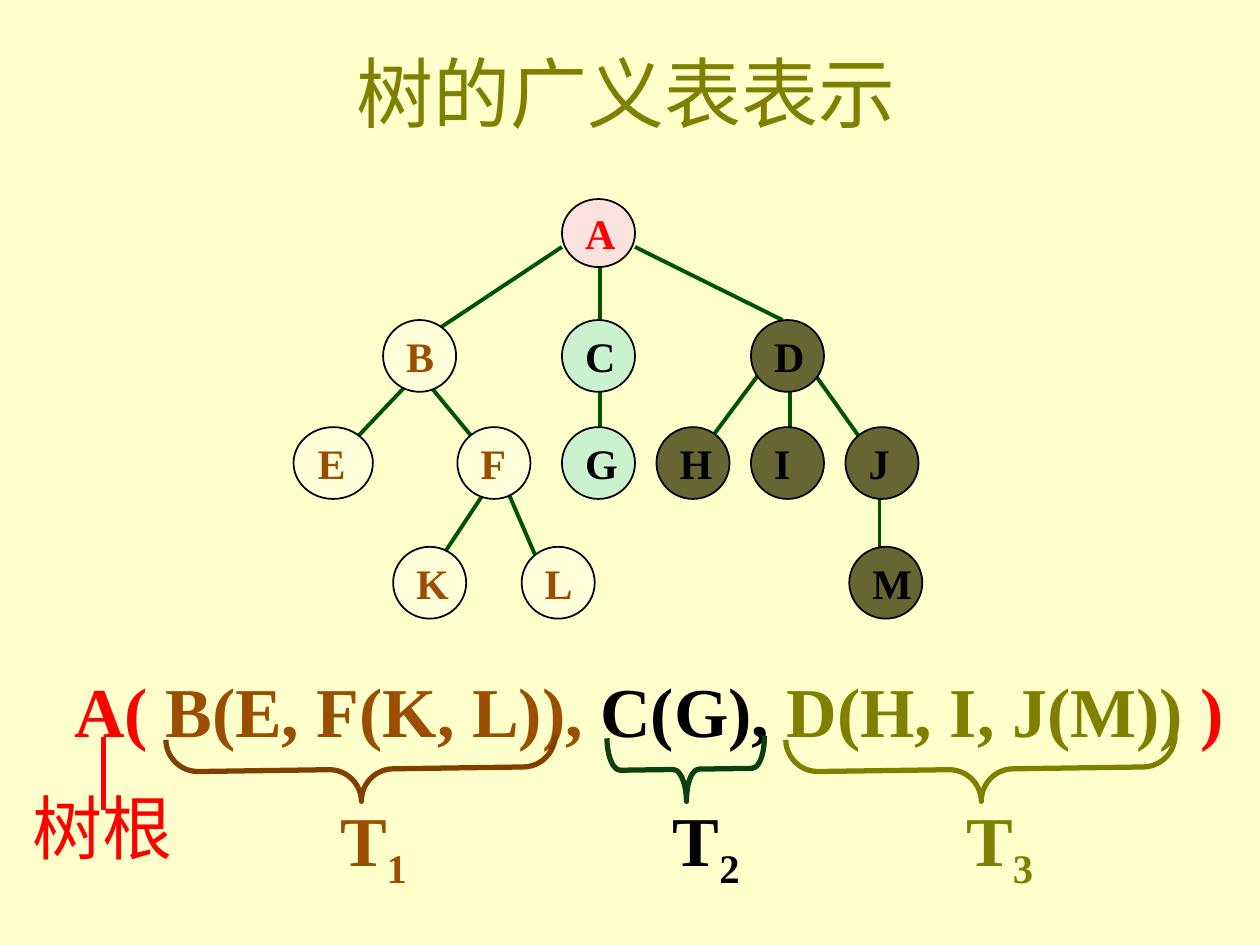
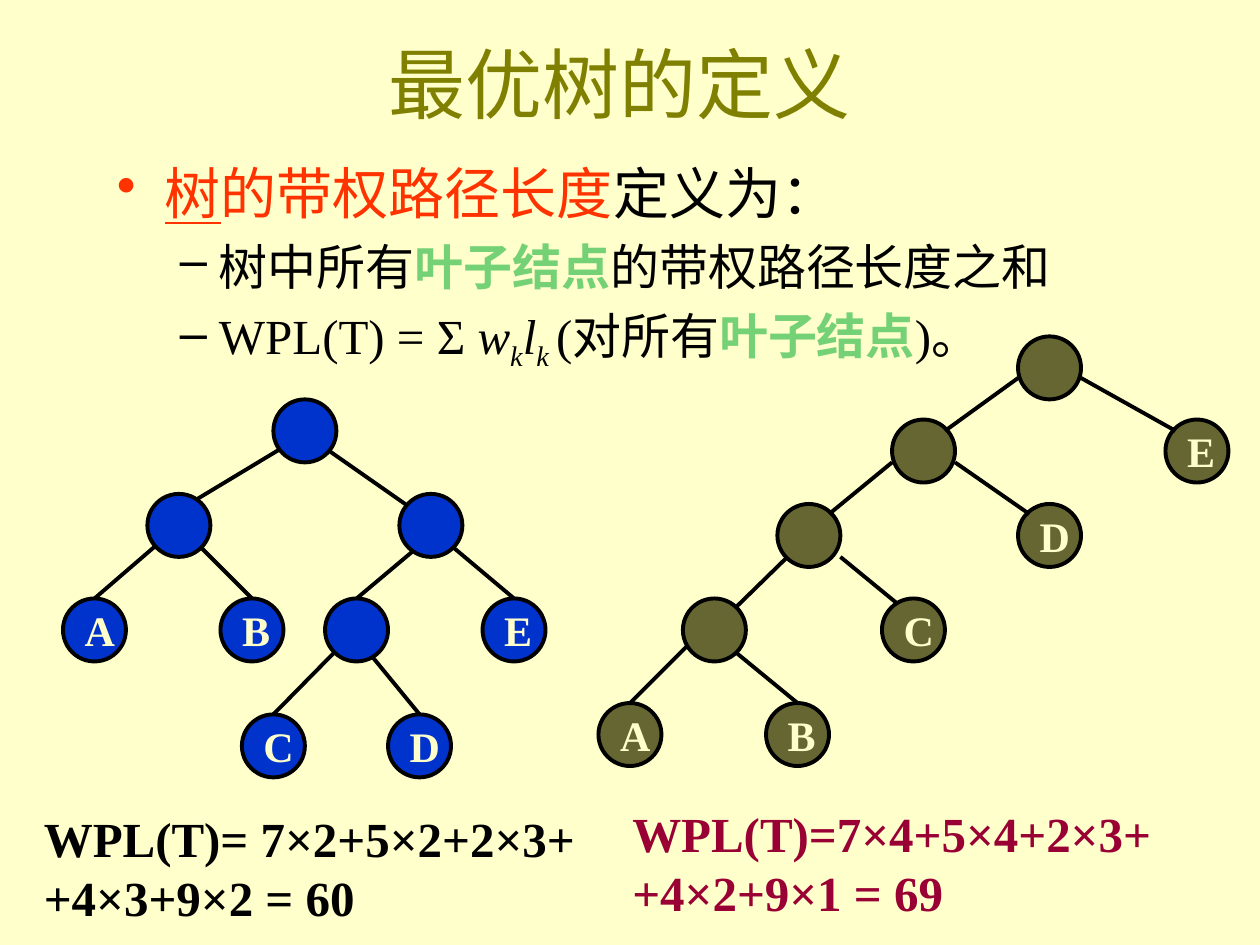
from dataclasses import dataclass
from typing import NamedTuple

import lxml.etree
import pptx
import pptx.dml.color
import pptx.enum.shapes
import pptx.enum.text
import pptx.oxml.ns
import pptx.util

SCALE = 9144  # EMU in one px, 100 px to the inch
FONT = "Times New Roman"
HUES = {
    "page": "FFFFCC", "ink": "000000", "olive": "808000", "red": "FF0000",
    "brown": "9C4E00", "rust": "804000", "pine": "0B4110", "branch": "005400",
    "pink": "FBE2DF", "cream": "FFFFD9", "mint": "CAF2CE", "moss": "666633",
    "blue": "0033CC", "orange": "FF3300", "leaf": "75D175", "wine": "990033",
}
SHAPES = pptx.enum.shapes.MSO_SHAPE
ANCHORS = pptx.enum.text.MSO_ANCHOR
ALIGN = pptx.enum.text.PP_ALIGN


class Box(NamedTuple):
    x: int
    y: int
    w: int
    h: int


class Bit(NamedTuple):
    """A run of text; sub lowers it to an index."""
    text: str
    hue: str = "ink"
    bold: bool = False
    slant: bool = False
    under: bool = False
    sub: bool = False


@dataclass
class Line:
    """A paragraph; left and hang are its indent when it has a bullet."""
    bits: list[Bit]
    size: int
    align: ALIGN = ALIGN.LEFT
    mark: str = ""
    left: int = 0
    hang: int = 0
    above: int = 0


class Look(NamedTuple):
    fill: str
    text: str


class Node(NamedTuple):
    label: str
    x: int
    y: int
    look: Look
    w: int
    h: int


class Edge(NamedTuple):
    x1: int
    y1: int
    x2: int
    y2: int


@dataclass
class Tree:
    """Edges run between the back nodes and the front nodes."""
    back: list[Node]
    edges: list[Edge]
    front: list[Node]
    edge_hue: str
    rim: float


class Part(NamedTuple):
    """A brace under one subtree, with its label."""
    index: str
    brace: Box
    curve: float
    hue: str
    label_x: int
    label_hue: str


def emu(px: int) -> int:
    return pptx.util.Emu(px * SCALE)


def rgb(hue: str) -> pptx.dml.color.RGBColor:
    return pptx.dml.color.RGBColor.from_string(HUES[hue])


def add_lines(frame, lines: list[Line]) -> None:
    for at, line in enumerate(lines):
        para = frame.add_paragraph() if at else frame.paragraphs[0]
        para.alignment = line.align
        if line.above:
            para.space_before = pptx.util.Pt(line.above)
        if line.mark:
            props = para._p.get_or_add_pPr()
            props.set("marL", str(emu(line.left)))
            props.set("indent", str(emu(-line.hang)))
            mark = lxml.etree.SubElement(props, pptx.oxml.ns.qn("a:buChar"))
            mark.set("char", line.mark)
        for bit in line.bits:
            run = para.add_run()
            run.text = bit.text
            font = run.font
            font.name, font.size = FONT, pptx.util.Pt(line.size)
            font.bold, font.italic, font.underline = bit.bold, bit.slant, bit.under
            font.color.rgb = rgb(bit.hue)
            if bit.sub:
                run._r.get_or_add_rPr().set("baseline", "-25000")


def add_text(slide, box: Box, lines: list[Line], wrap: bool = True,
             anchor: ANCHORS = ANCHORS.TOP, fill: str = "") -> None:
    shape = slide.shapes.add_textbox(*map(emu, box))
    if fill:
        shape.fill.solid()
        shape.fill.fore_color.rgb = rgb(fill)
    frame = shape.text_frame
    frame.word_wrap = wrap
    frame.vertical_anchor = anchor
    if not wrap:
        frame.auto_size = pptx.enum.text.MSO_AUTO_SIZE.SHAPE_TO_FIT_TEXT
    add_lines(frame, lines)


def add_title(slide, x: int, y: int, text: str) -> None:
    line = Line([Bit(text, "olive")], 44, ALIGN.CENTER)
    add_text(slide, Box(x, y, 850, 125), [line], anchor=ANCHORS.MIDDLE)


def add_edge(slide, edge: Edge, hue: str, width: float) -> None:
    kind = pptx.enum.shapes.MSO_CONNECTOR.STRAIGHT
    link = slide.shapes.add_connector(kind, *map(emu, edge))
    link.line.color.rgb = rgb(hue)
    link.line.width = pptx.util.Pt(width)
    lxml.etree.SubElement(link._element.spPr, pptx.oxml.ns.qn("a:effectLst"))


def add_node(slide, node: Node, rim: float) -> None:
    box = Box(node.x, node.y, node.w, node.h)
    shape = slide.shapes.add_shape(SHAPES.OVAL, *map(emu, box))
    shape.shadow.inherit = False
    shape.fill.solid()
    shape.fill.fore_color.rgb = rgb(node.look.fill)
    shape.line.color.rgb = rgb("ink")
    shape.line.width = pptx.util.Pt(rim)
    if node.label:
        frame = shape.text_frame
        frame.word_wrap = False
        frame.vertical_anchor = ANCHORS.MIDDLE
        add_lines(frame, [Line([Bit(node.label, node.look.text, True)], 24)])


def add_tree(slide, tree: Tree) -> None:
    for node in tree.back:
        add_node(slide, node, tree.rim)
    for edge in tree.edges:
        add_edge(slide, edge, tree.edge_hue, 2.25)
    for node in tree.front:
        add_node(slide, node, tree.rim)


def add_part(slide, part: Part) -> None:
    brace = slide.shapes.add_shape(SHAPES.LEFT_BRACE, *map(emu, part.brace))
    brace.shadow.inherit = False
    brace.rotation = 269.2
    brace.adjustments[0] = part.curve
    brace.fill.background()
    brace.line.color.rgb = rgb(part.hue)
    brace.line.width = pptx.util.Pt(3)
    bits = [Bit("T", part.label_hue, True), Bit(part.index, part.label_hue, True, sub=True)]
    add_text(slide, Box(part.label_x, 627, 89, 77), [Line(bits, 40)])


ROOT, WARM = Look("pink", "red"), Look("cream", "brown")
COOL, DARK = Look("mint", "ink"), Look("moss", "ink")
BLUE, MOSS = Look("blue", "page"), Look("moss", "page")


def letter(label: str, x: int, y: int, look: Look, w: int = 58, h: int = 57) -> Node:
    return Node(label, x, y, look, w, h)


def ball(label: str, x: int, y: int, look: Look) -> Node:
    return Node(label, x, y, look, 50, 50)


LIST_TREE = Tree(
    [],
    [Edge(698, 387, 698, 465), Edge(643, 292, 685, 351), Edge(627, 300, 627, 357),
     Edge(606, 292, 556, 359), Edge(476, 308, 476, 350), Edge(336, 300, 384, 358),
     Edge(328, 300, 273, 358), Edge(399, 381, 431, 455), Edge(391, 381, 344, 452),
     Edge(446, 196, 336, 269), Edge(476, 213, 476, 254), Edge(504, 196, 621, 254)],
    [letter("A", 446, 158, ROOT, h=54),
     letter("B", 304, 254, WARM), letter("C", 446, 254, COOL), letter("D", 596, 254, DARK),
     letter("E", 233, 339, WARM, w=63), letter("F", 363, 339, WARM),
     letter("G", 446, 339, COOL),
     *(letter(name, 521 + 75 * at, 339, DARK) for at, name in enumerate("HIJ")),
     letter("K", 312, 434, WARM), letter("L", 414, 434, WARM), letter("M", 674, 434, DARK)],
    "branch", 1)

BEST_TREE = Tree(
    [ball("A", 50, 475, BLUE), ball("B", 175, 475, BLUE), ball("E", 383, 475, BLUE),
     ball("C", 192, 567, BLUE), ball("D", 308, 567, BLUE)],
    [Edge(233, 350, 150, 400), Edge(250, 350, 333, 408), Edge(333, 433, 283, 475),
     Edge(358, 433, 408, 475), Edge(275, 508, 217, 567), Edge(292, 517, 333, 567),
     Edge(133, 425, 75, 475), Edge(150, 425, 200, 475)],
    [ball("", 117, 392, BLUE), ball("", 317, 392, BLUE),
     ball("", 258, 475, BLUE), ball("", 217, 317, BLUE)],
    "ink", 2.25)

SKEW_TREE = Tree(
    [ball("", 808, 267, MOSS), ball("", 708, 333, MOSS), ball("E", 925, 333, MOSS),
     ball("", 617, 400, MOSS), ball("D", 808, 400, MOSS), ball("A", 475, 558, MOSS)],
    [Edge(858, 300, 933, 342), Edge(808, 300, 750, 342), Edge(758, 367, 817, 408),
     Edge(708, 367, 658, 408), Edge(550, 508, 500, 558), Edge(583, 517, 633, 558),
     Edge(667, 442, 717, 483), Edge(625, 442, 583, 483)],
    [ball("B", 608, 558, MOSS), ball("C", 700, 475, MOSS), ball("", 542, 475, MOSS)],
    "ink", 2.25)

PARTS = [
    Part("1", Box(261, 456, 51, 309), 0.5, "rust", 260, "brown"),
    Part("3", Box(753, 456, 51, 309), 0.5, "olive", 757, "olive"),
    Part("2", Box(519, 548, 51, 125), 0.2, "pine", 524, "ink"),
]


def draw_list(slide) -> None:
    add_tree(slide, LIST_TREE)
    bits = [Bit("A( ", "red", True), Bit("B(E, F(K, L)),", "brown", True),
            Bit(" C(G), ", "ink", True), Bit("D(H, I, J(M)) ", "olive", True),
            Bit(")", "red", True)]
    add_text(slide, Box(49, 525, 934, 77), [Line(bits, 40)], wrap=False)
    for part in PARTS:
        add_part(slide, part)
    add_edge(slide, Edge(82, 585, 82, 643), "red", 3)
    add_text(slide, Box(16, 618, 131, 77), [Line([Bit("树根", "red")], 40)], wrap=False)
    add_title(slide, 72, 10, "树的广义表表示")


def dash(bits: list[Bit]) -> Line:
    return Line(bits, 28, mark="–", left=81, hang=31, above=6)


def add_sum(slide, box: Box, hue: str, rows: list[str]) -> None:
    lines = [Line([Bit(row, hue, True)], 28) for row in rows]
    add_text(slide, box, lines, fill="page")


def draw_best(slide) -> None:
    add_title(slide, 67, 3, "最优树的定义")
    leaf = Bit("叶子结点", "leaf", True)
    add_text(slide, Box(83, 121, 850, 450), [
        Line([Bit("树", "orange", under=True), Bit("的带权路径长度", "orange"),
              Bit("定义为：")], 32, mark="•", left=38, hang=38),
        dash([Bit("树中所有"), leaf, Bit("的带权路径长度之和")]),
        dash([Bit("WPL(T) = Σ "), Bit("w", slant=True), Bit("k", slant=True, sub=True),
              Bit("l", slant=True), Bit("k ", slant=True, sub=True),
              Bit("(对所有"), leaf, Bit(")。")]),
    ])
    add_tree(slide, BEST_TREE)
    add_tree(slide, SKEW_TREE)
    add_sum(slide, Box(25, 637, 467, 113), "ink",
            ["WPL(T)= 7×2+5×2+2×3+", "+4×3+9×2 = 60"])
    add_sum(slide, Box(492, 633, 508, 113), "wine",
            ["WPL(T)=7×4+5×4+2×3+", "+4×2+9×1 = 69"])


def main() -> None:
    deck = pptx.Presentation()
    deck.slide_width, deck.slide_height = emu(1000), emu(750)
    page = deck.slide_master.background.fill
    page.solid()
    page.fore_color.rgb = rgb("page")
    for draw in (draw_list, draw_best):
        draw(deck.slides.add_slide(deck.slide_layouts[6]))
    deck.save("out.pptx")


if __name__ == "__main__":
    main()
